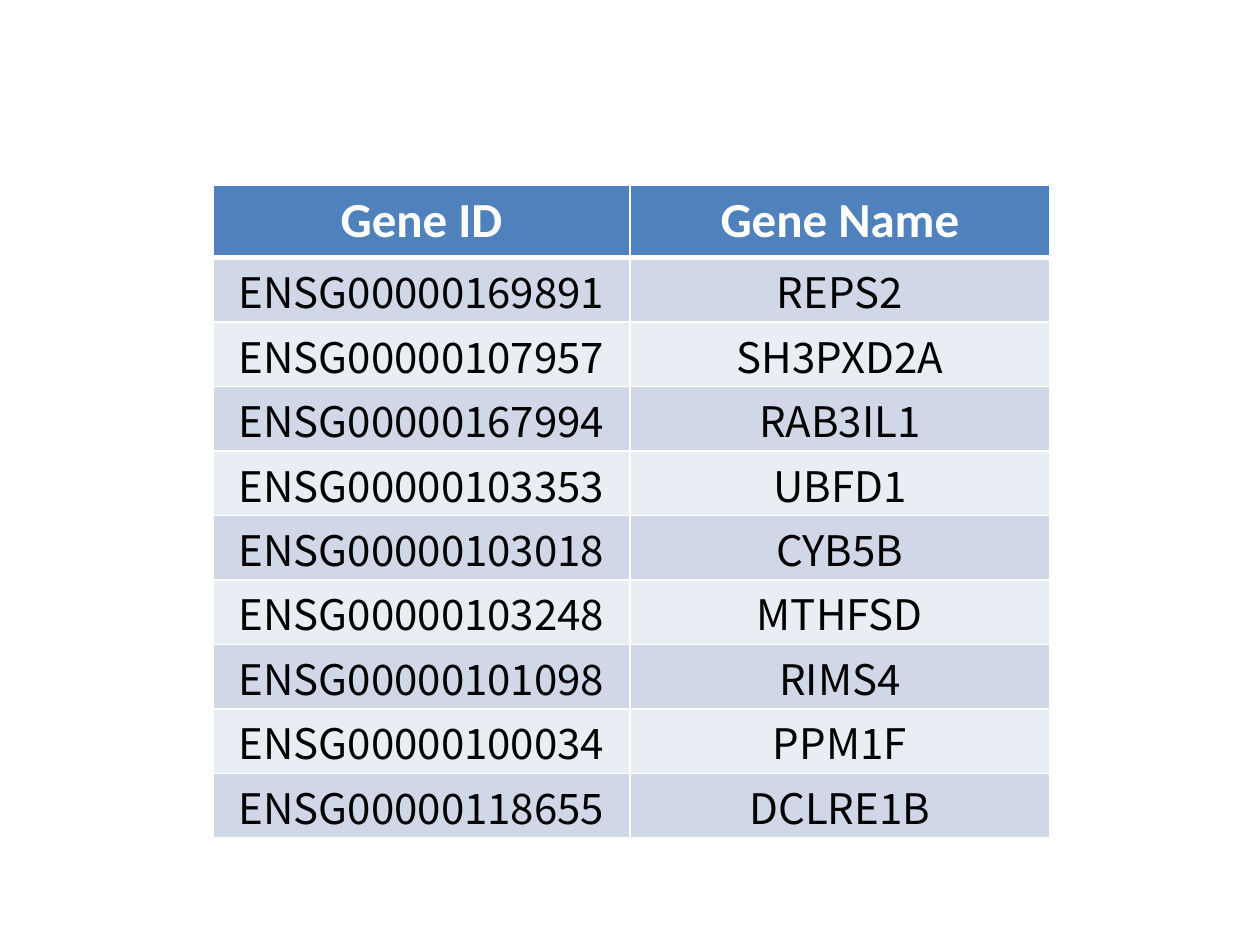
from dataclasses import dataclass

from lxml import etree
from pptx import Presentation
from pptx import util as u
from pptx.dml.color import RGBColor
from pptx.enum import text
from pptx.oxml import ns
from pptx.table import _Cell

PX = u.Inches(1) // 254
WHITE = RGBColor(0xFF, 0xFF, 0xFF)
BLACK = RGBColor(0x00, 0x00, 0x00)
BLUE = RGBColor(0x4F, 0x81, 0xBD)
BAND_DARK = RGBColor(0xD0, 0xD8, 0xE8)
BAND_LIGHT = RGBColor(0xE9, 0xED, 0xF4)

LEFT, TOP = 429, 373
COLUMN_WIDTHS = (841, 846)
HEADER_HEIGHT, ROW_HEIGHT = 146, 130
BODY_INSET = 2
THIN, THICK = 1, 3


@dataclass(frozen=True)
class Gene:
    identifier: str
    name: str


@dataclass(frozen=True)
class CellStyle:
    font: str
    size: int
    color: RGBColor
    bold: bool


HEADER_STYLE = CellStyle("Calibri", 28, WHITE, True)
BODY_STYLE = CellStyle("Noto Sans CJK SC", 24, BLACK, False)
HEADINGS = Gene("Gene ID", "Gene Name")
GENES = (
    Gene("ENSG00000169891", "REPS2"),
    Gene("ENSG00000107957", "SH3PXD2A"),
    Gene("ENSG00000167994", "RAB3IL1"),
    Gene("ENSG00000103353", "UBFD1"),
    Gene("ENSG00000103018", "CYB5B"),
    Gene("ENSG00000103248", "MTHFSD"),
    Gene("ENSG00000101098", "RIMS4"),
    Gene("ENSG00000100034", "PPM1F"),
    Gene("ENSG00000118655", "DCLRE1B"),
)


def add_borders(cell: _Cell, top: int, bottom: int) -> None:
    properties = cell._tc.get_or_add_tcPr()
    for side, width in (("L", THIN), ("R", THIN), ("T", top), ("B", bottom)):
        line = etree.SubElement(
            properties, ns.qn(f"a:ln{side}"), w=str(u.Pt(width))
        )
        fill = etree.SubElement(line, ns.qn("a:solidFill"))
        etree.SubElement(fill, ns.qn("a:srgbClr"), val=str(WHITE))


def fill_cell(cell: _Cell, label: str, style: CellStyle, color: RGBColor) -> None:
    cell.fill.solid()
    cell.fill.fore_color.rgb = color
    para = cell.text_frame.paragraphs[0]
    para.alignment = text.PP_ALIGN.CENTER
    span = para.add_run()
    span.text = label
    span.font.name = style.font
    span.font.size = u.Pt(style.size)
    span.font.bold = style.bold
    span.font.color.rgb = style.color


def inset_body(cell: _Cell) -> None:
    cell.vertical_anchor = text.MSO_ANCHOR.MIDDLE
    cell.margin_left = cell.margin_right = cell.margin_top = BODY_INSET * PX
    cell.margin_bottom = 0


def main() -> None:
    deck = Presentation()
    deck.slide_width, deck.slide_height = u.Inches(10), u.Inches(7.5)
    page = deck.slides.add_slide(deck.slide_layouts[6])
    records = (HEADINGS, *GENES)
    heights = [HEADER_HEIGHT] + [ROW_HEIGHT] * len(GENES)
    table = page.shapes.add_table(
        len(records), len(COLUMN_WIDTHS), LEFT * PX, TOP * PX,
        sum(COLUMN_WIDTHS) * PX, sum(heights) * PX,
    ).table
    for column, width in zip(table.columns, COLUMN_WIDTHS):
        column.width = width * PX

    for index, (row, gene) in enumerate(zip(table.rows, records)):
        row.height = heights[index] * PX
        is_header = index == 0
        band = BAND_DARK if index % 2 else BAND_LIGHT
        for cell, label in zip(row.cells, (gene.identifier, gene.name)):
            add_borders(
                cell,
                top=THICK if index == 1 else THIN,
                bottom=THICK if is_header else THIN,
            )
            if is_header:
                fill_cell(cell, label, HEADER_STYLE, BLUE)
            else:
                fill_cell(cell, label, BODY_STYLE, band)
                inset_body(cell)

    deck.save("out.pptx")


if __name__ == "__main__":
    main()
